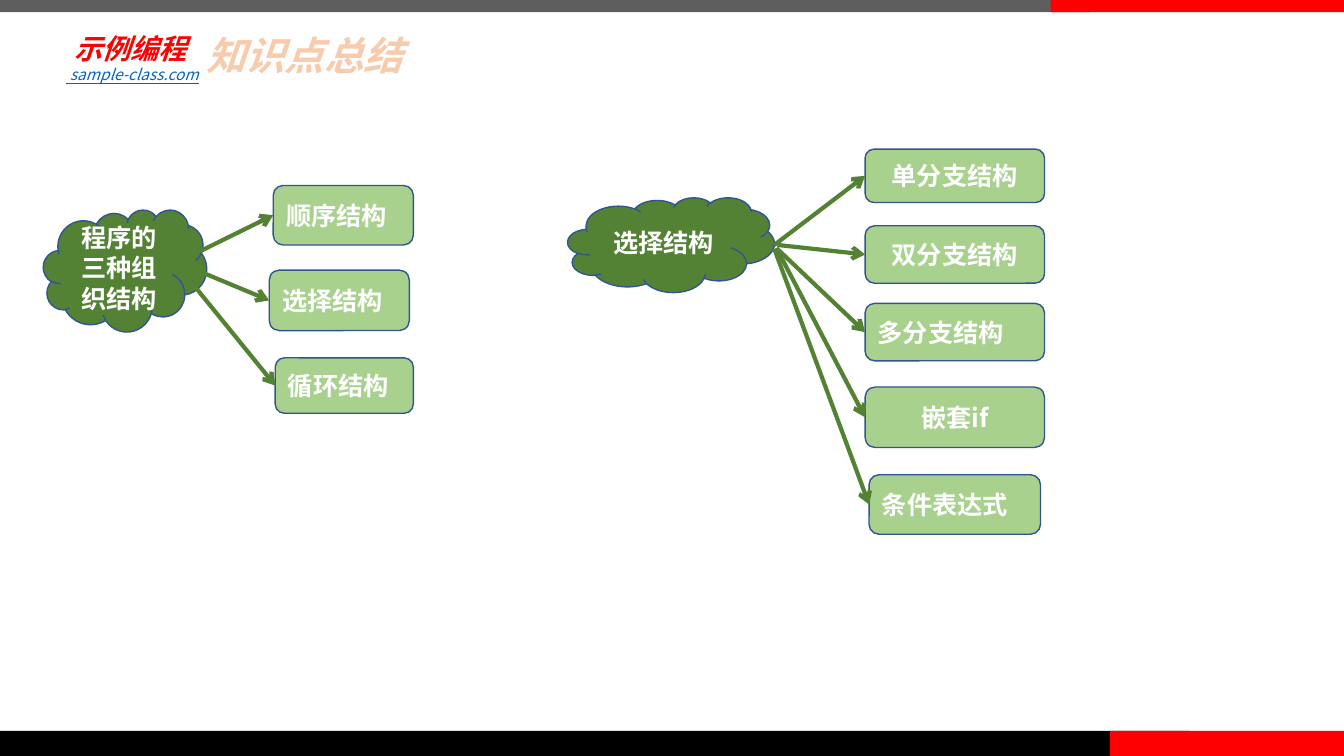
from lxml.etree import SubElement
from pptx import Presentation
from pptx.dml.color import RGBColor
from pptx.enum.shapes import MSO_CONNECTOR as Connector, MSO_SHAPE as Preset
from pptx.enum.text import MSO_ANCHOR as Anchor, MSO_AUTO_SIZE as AutoSize, PP_ALIGN as Align
from pptx.oxml import parse_xml
from pptx.oxml.ns import nsdecls, qn
from pptx.util import Inches, Pt

COLORS = {
    "white": "FFFFFF", "black": "000000", "gray": "5E5E5E", "red": "FF0000",
    "dark_green": "548235", "light_green": "A9D18E", "outline": "325491",
    "peach": "F8CBAD", "orange": "ED7D31", "link": "0563C1",
}
FONT = "Noto Sans CJK SC"
LEFT_SIDE = 1


def color(name):
    """Return the named colour."""
    return RGBColor.from_string(COLORS[name])


def write(frame, text, size=18, fill="white", font=FONT, bold=False, italic=False,
          underline=None, align=Align.LEFT, anchor=Anchor.MIDDLE):
    """Put formatted text into a text frame and return its run."""
    frame.word_wrap = True
    frame.vertical_anchor = anchor
    paragraph = frame.paragraphs[0]
    paragraph.alignment = align
    run = paragraph.add_run()
    run.text = text
    run.font.size, run.font.name = Pt(size), font
    run.font.bold, run.font.italic, run.font.underline = bold, italic, underline
    run.font.color.rgb = color(fill)
    SubElement(run._r.get_or_add_rPr(), qn("a:ea"), typeface=FONT)
    return run


class SlideBuilder:
    """Holds the slide and draws its elements in one style."""

    def __init__(self, slide):
        """Keep the current slide."""
        self.slide = slide

    def title(self, text, box):
        """Place the title with outlined slanted letters."""
        shape = self.slide.shapes.title
        shape.left, shape.top, shape.width, shape.height = map(Inches, box)
        shape.text_frame.auto_size = AutoSize.NONE
        run = write(shape.text_frame, text, size=28, fill="peach", bold=True, italic=True)
        shape.text_frame.paragraphs[0].line_spacing = 0.9
        run._r.get_or_add_rPr().insert(0, parse_xml(
            f'<a:ln {nsdecls("a")} w="{Pt(1.75)}"><a:solidFill>'
            f'<a:srgbClr val="{COLORS["orange"]}"/></a:solidFill></a:ln>'))

    def shape(self, preset, box, fill, line=None):
        """Add a filled preset shape."""
        shape = self.slide.shapes.add_shape(preset, *map(Inches, box))
        shape.shadow.inherit = False
        shape.fill.solid()
        shape.fill.fore_color.rgb = color(fill)
        if line:
            shape.line.color.rgb = color(line)
            shape.line.width = Pt(1)
        else:
            shape.line.fill.background()
        return shape

    def node(self, preset, text, box, fill, align=Align.CENTER):
        """Add a labelled node of the diagram."""
        shape = self.shape(preset, box, fill, "outline")
        write(shape.text_frame, text, bold=True, align=align)
        return shape

    def arrow(self, start, target):
        """Draw an arrow from a point to the left side of a node."""
        connector = self.slide.shapes.add_connector(
            Connector.STRAIGHT, *map(Inches, start), target.left, target.top)
        connector.end_connect(target, LEFT_SIDE)
        connector.line.color.rgb = color("dark_green")
        connector.line.width = Pt(3)
        SubElement(connector.line._get_or_add_ln(), qn("a:tailEnd"), type="arrow")
        SubElement(connector._element.spPr, qn("a:effectLst"))

    def tree(self, topic, box, branches):
        """Draw a cloud topic with arrows to its branches."""
        self.node(Preset.CLOUD, topic, box, "dark_green")
        for text, branch_box, align, start in branches:
            branch = self.node(Preset.ROUNDED_RECTANGLE, text, branch_box, "light_green", align)
            self.arrow(start, branch)

    def text(self, text, box, inset=None, **style):
        """Add a text box that grows with its text."""
        frame = self.slide.shapes.add_textbox(*map(Inches, box)).text_frame
        frame.auto_size = AutoSize.SHAPE_TO_FIT_TEXT
        if inset is not None:
            frame.margin_left = frame.margin_right = Inches(inset)
            frame.margin_top = frame.margin_bottom = Inches(inset)
        write(frame, text, italic=True, **style)


def main():
    """Build and save the summary slide."""
    presentation = Presentation()
    presentation.slide_width, presentation.slide_height = Inches(13.33), Inches(7.5)
    builder = SlideBuilder(presentation.slides.add_slide(presentation.slide_layouts[5]))

    builder.title("知识点总结", (1.95, 0.2, 3.34, 0.74))
    builder.tree("程序的三种组织结构", (0.43, 2.08, 1.62, 1.21), [
        ("顺序结构", (2.71, 1.84, 1.39, 0.59), Align.LEFT, (1.99, 2.49)),
        ("选择结构", (2.67, 2.68, 1.39, 0.6), Align.LEFT, (1.95, 2.68)),
        ("循环结构", (2.73, 3.55, 1.37, 0.55), Align.LEFT, (1.93, 2.84)),
    ])
    builder.tree("选择结构", (5.63, 1.96, 2.05, 0.94), [
        ("单分支结构", (8.58, 1.48, 1.78, 0.53), Align.CENTER, (7.68, 2.43)),
        ("双分支结构", (8.58, 2.24, 1.78, 0.57), Align.CENTER, (7.71, 2.43)),
        ("多分支结构", (8.58, 3.01, 1.78, 0.57), Align.LEFT, (7.71, 2.47)),
        ("嵌套if", (8.58, 3.84, 1.78, 0.6), Align.CENTER, (7.7, 2.46)),
        ("条件表达式", (8.62, 4.71, 1.7, 0.59), Align.LEFT, (7.68, 2.47)),
    ])

    for box, fill in [
        ((0, 0, 10.81, 0.12), "gray"),
        ((0, 7.25, 11.8, 0.25), "black"),
        ((11.01, 7.25, 2.32, 0.25), "red"),
        ((10.42, 0, 2.91, 0.12), "red"),
    ]:
        builder.shape(Preset.RECTANGLE, box, fill)

    builder.text("示例编程", (0.68, 0.25, 1.28, 0.45), inset=0.06,
                 size=20, fill="red", font="Arial", bold=True)
    builder.text(" sample-class.com", (0.56, 0.6, 6.67, 0.29),
                 size=11, fill="link", underline=True, anchor=Anchor.TOP)

    presentation.save("out.pptx")


if __name__ == "__main__":
    main()
